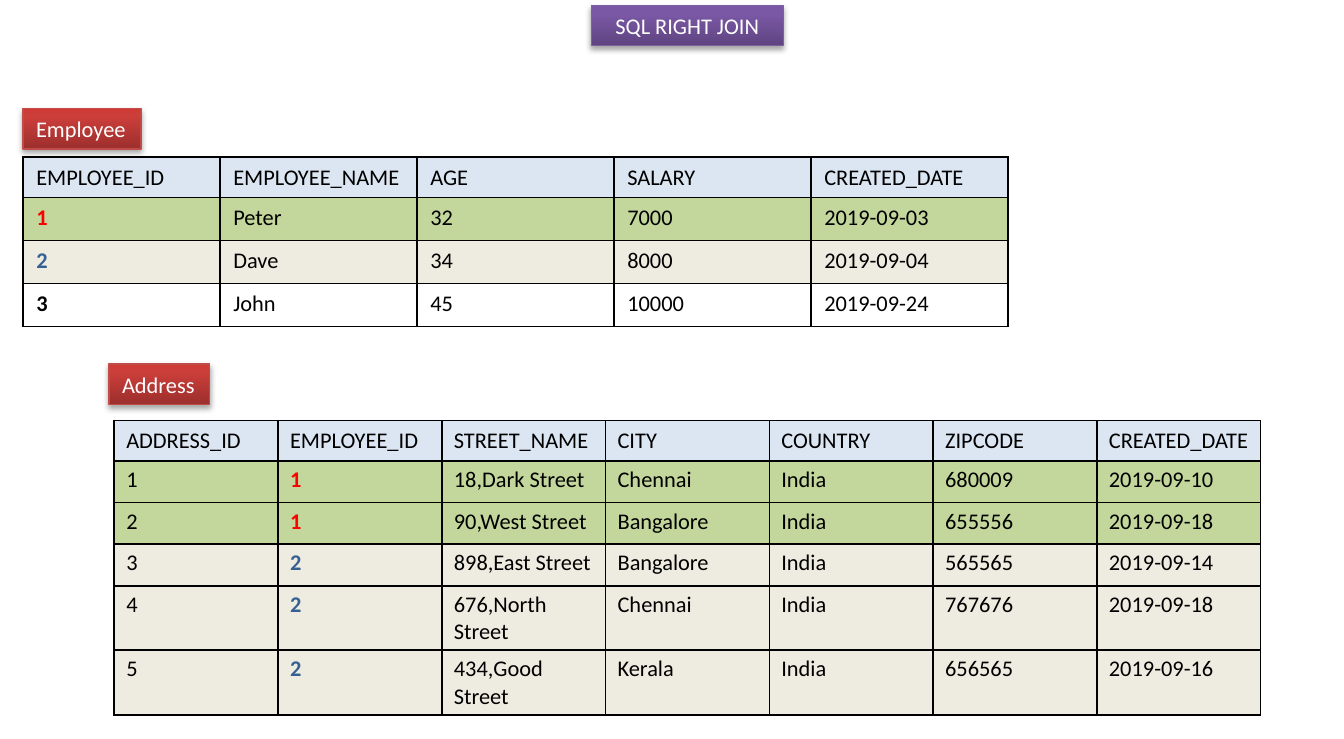
from pptx import Presentation
from pptx.dml.color import RGBColor
from pptx.enum.shapes import MSO_SHAPE
from pptx.enum.text import MSO_ANCHOR, MSO_AUTO_SIZE, PP_ALIGN
from pptx.oxml import parse_xml
from pptx.oxml.ns import nsdecls, qn
from pptx.util import Inches, Pt

BLACK = RGBColor(0x00, 0x00, 0x00)
WHITE = RGBColor(0xFF, 0xFF, 0xFF)
RED = RGBColor(0xFF, 0x00, 0x00)
BLUE = RGBColor(0x37, 0x60, 0x92)
HEADER_FILL = RGBColor(0xDC, 0xE6, 0xF2)
GREEN_FILL = RGBColor(0xC3, 0xD6, 0x9B)
TAN_FILL = RGBColor(0xEE, 0xEC, 0xE1)
PURPLE_LINE = RGBColor(0x7D, 0x60, 0xA0)
RED_LINE = RGBColor(0xBF, 0x4C, 0x48)
PURPLE_GRADIENT = (
    (0, RGBColor(0x5F, 0x44, 0x80)),
    (80, RGBColor(0x7B, 0x58, 0xA6)),
    (100, RGBColor(0x7C, 0x57, 0xA8)),
)
RED_GRADIENT = (
    (0, RGBColor(0x9C, 0x2F, 0x2D)),
    (80, RGBColor(0xCB, 0x3E, 0x3A)),
    (100, RGBColor(0xCE, 0x3B, 0x37)),
)
ID_STYLES = {"1": (RED, GREEN_FILL), "2": (BLUE, TAN_FILL), "3": (BLACK, WHITE)}

EMPLOYEES = [
    ("EMPLOYEE_ID", "EMPLOYEE_NAME", "AGE", "SALARY", "CREATED_DATE"),
    ("1", "Peter", "32", "7000", "2019-09-03"),
    ("2", "Dave", "34", "8000", "2019-09-04"),
    ("3", "John", "45", "10000", "2019-09-24"),
]
ADDRESSES = [
    ("ADDRESS_ID", "EMPLOYEE_ID", "STREET_NAME", "CITY", "COUNTRY", "ZIPCODE", "CREATED_DATE"),
    ("1", "1", "18,Dark Street", "Chennai", "India", "680009", "2019-09-10"),
    ("2", "1", "90,West Street", "Bangalore", "India", "655556", "2019-09-18"),
    ("3", "2", "898,East Street", "Bangalore", "India", "565565", "2019-09-14"),
    ("4", "2", "676,North Street", "Chennai", "India", "767676", "2019-09-18"),
    ("5", "2", "434,Good Street", "Kerala", "India", "656565", "2019-09-16"),
]


def write_text(text_frame, text, *, font, size, color, bold=False, align=PP_ALIGN.LEFT):
    paragraph = text_frame.paragraphs[0]
    paragraph.alignment = align
    run = paragraph.add_run()
    run.text = text
    run.font.name = font
    run.font.size = size
    run.font.bold = bold
    run.font.color.rgb = color


class JoinSlide:
    """Holds the text style and the slide that receives labels and tables."""

    def __init__(self, slide):
        self.slide = slide
        self.text_style = {"font": "Calibri", "size": Pt(12)}
        self.line_width = Pt(0.75)
        self.border_width = Pt(1)

    def add_label(self, text, box, gradient, line_color, *, wrap=False, align=PP_ALIGN.LEFT):
        shape = self.slide.shapes.add_shape(MSO_SHAPE.RECTANGLE, *map(Inches, box))
        shape.fill.gradient()
        shape.fill.gradient_angle = 90
        properties = shape._element.spPr
        stops = properties.find(qn("a:gradFill")).find(qn("a:gsLst"))
        stops[:] = [
            parse_xml(
                f'<a:gs {nsdecls("a")} pos="{position * 1000}"><a:srgbClr val="{color}"/></a:gs>'
            )
            for position, color in gradient
        ]
        shape.line.color.rgb = line_color
        shape.line.width = self.line_width
        shape.shadow.inherit = False
        properties.find(qn("a:effectLst")).append(parse_xml(
            f'<a:outerShdw {nsdecls("a")} blurRad="{Pt(3.1)}" dist="{Pt(1.8)}" '
            'dir="5400000" rotWithShape="0"><a:srgbClr val="000000">'
            '<a:alpha val="35000"/></a:srgbClr></a:outerShdw>'
        ))
        text_frame = shape.text_frame
        text_frame.word_wrap = wrap
        text_frame.auto_size = MSO_AUTO_SIZE.SHAPE_TO_FIT_TEXT
        write_text(text_frame, text, color=WHITE, align=align, **self.text_style)

    def add_borders(self, cell):
        properties = cell._tc.get_or_add_tcPr()
        for index, side in enumerate(("lnL", "lnR", "lnT", "lnB")):
            properties.insert(index, parse_xml(
                f'<a:{side} {nsdecls("a")} w="{self.border_width}"><a:solidFill>'
                f'<a:srgbClr val="{BLACK}"/></a:solidFill></a:{side}>'
            ))

    def add_table(self, rows, box, row_heights, *, id_column, margins):
        frame = self.slide.shapes.add_table(len(rows), len(rows[0]), *map(Inches, box))
        table = frame.table
        table.first_row = table.horz_banding = False
        for row_index, (values, height) in enumerate(zip(rows, row_heights)):
            table.rows[row_index].height = Inches(height)
            is_header = row_index == 0
            id_color, fill = (BLACK, HEADER_FILL) if is_header else ID_STYLES[values[id_column]]
            for column, value in enumerate(values):
                cell = table.cell(row_index, column)
                cell.fill.solid()
                cell.fill.fore_color.rgb = fill
                cell.vertical_anchor = MSO_ANCHOR.MIDDLE if is_header else MSO_ANCHOR.TOP
                cell.margin_left = cell.margin_right = Inches(margins[0])
                cell.margin_top = cell.margin_bottom = Inches(margins[1])
                self.add_borders(cell)
                is_id = column == id_column
                write_text(
                    cell.text_frame, value, color=id_color if is_id else BLACK,
                    bold=is_id and not is_header, **self.text_style,
                )


def main():
    presentation = Presentation()
    presentation.slide_width = Inches(10)
    presentation.slide_height = Inches(5.5)
    join = JoinSlide(presentation.slides.add_slide(presentation.slide_layouts[6]))
    join.add_label(
        "SQL RIGHT JOIN", (4.4, 0.04, 1.43, 0.3), PURPLE_GRADIENT, PURPLE_LINE,
        wrap=True, align=PP_ALIGN.CENTER,
    )
    join.add_table(
        EMPLOYEES, (0.17, 1.17, 7.33, 1.27), [0.22] + [0.32] * 3,
        id_column=0, margins=(0.1, 0.05),
    )
    join.add_table(
        ADDRESSES, (0.85, 3.13, 8.53, 2.2), [0.3] + [0.31] * 3 + [0.34] * 2,
        id_column=1, margins=(0.09, 0.04),
    )
    join.add_label("Employee", (0.17, 0.81, 0.88, 0.3), RED_GRADIENT, RED_LINE)
    join.add_label("Address", (0.81, 2.71, 0.75, 0.3), RED_GRADIENT, RED_LINE)
    presentation.save("out.pptx")


if __name__ == "__main__":
    main()
